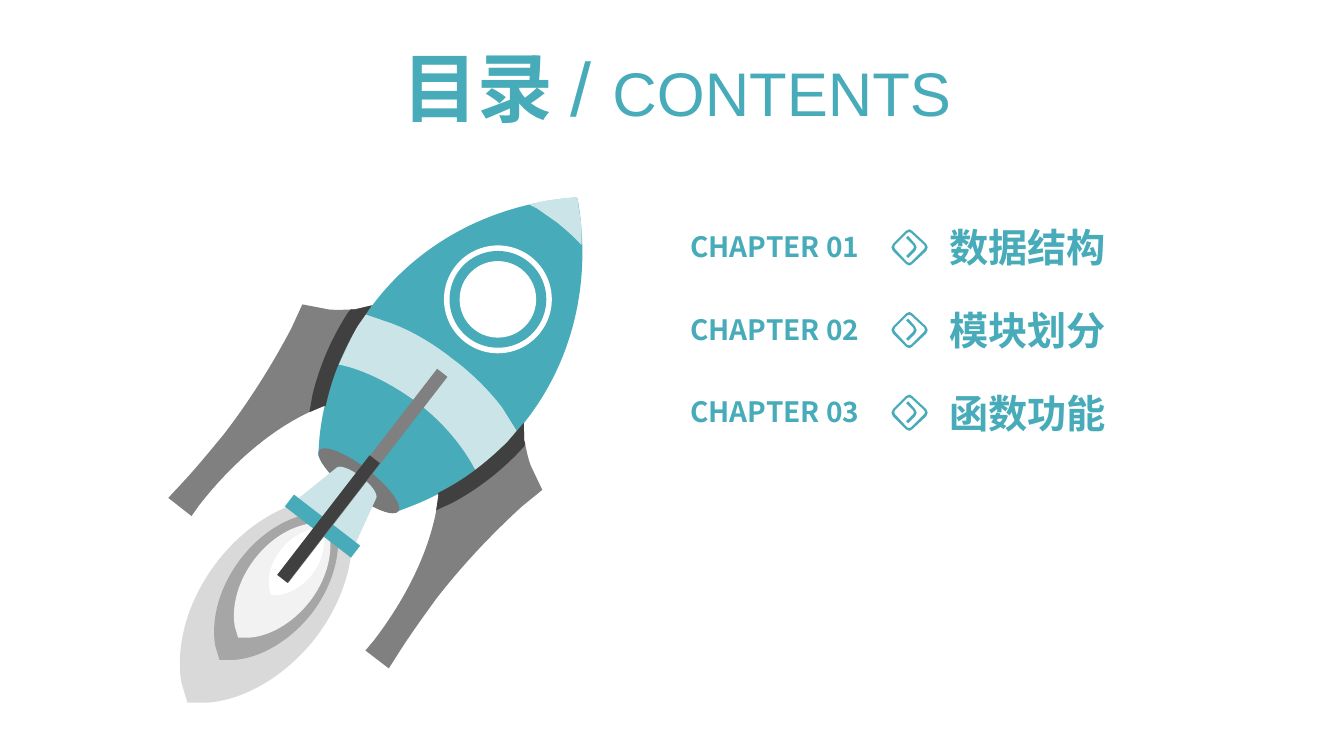
import math
import lxml.etree
import pptx
import pptx.util
import pptx.dml.color
import pptx.enum.shapes
import pptx.enum.text
import pptx.oxml.ns

Cm = pptx.util.Cm
Pt = pptx.util.Pt
RGBColor = pptx.dml.color.RGBColor
KIND = pptx.enum.shapes.MSO_SHAPE
FIT = pptx.enum.text.MSO_AUTO_SIZE
qn = pptx.oxml.ns.qn
TEAL = RGBColor(0x47, 0xAB, 0xB9)
PALE = RGBColor(0xCB, 0xE4, 0xE8)
WHITE = RGBColor(0xFF, 0xFF, 0xFF)
MIST = RGBColor(0xF2, 0xF2, 0xF2)
SMOKE = RGBColor(0xD9, 0xD9, 0xD9)
ASH = RGBColor(0xA6, 0xA6, 0xA6)
GRAY = RGBColor(0x80, 0x80, 0x80)
STEEL = RGBColor(0x79, 0x79, 0x79)
DARK = RGBColor(0x40, 0x40, 0x40)
FONT = "Noto Sans CJK SC"
INCH = 2.54
TILT = 37.7


def paint(shape, color):
    shape.shadow.inherit = False
    shape.fill.solid()
    shape.fill.fore_color.rgb = color
    shape.line.fill.background()


def draw(group, loops, color, move=lambda x, y: (x, y)):
    pen = None
    count, bends = 0, []
    for loop in loops:
        dots = []
        for step in loop:
            if len(step) == 6:
                bends.append(count + len(dots) - 1)
            dots += zip(step[::2], step[1::2])
        count += len(dots) - 1
        dots = [tuple(Cm(v * INCH) for v in move(*dot)) for dot in dots]
        if pen is None:
            pen = group.shapes.build_freeform(*dots[0])
        else:
            pen.move_to(*dots[0])
        pen.add_line_segments(dots[1:], close=True)
    shape = pen.convert_to_shape()
    sides = list(shape.element.iter(qn("a:lnTo")))
    for bend in bends:
        curve = lxml.etree.Element(qn("a:cubicBezTo"))
        sides[bend].addprevious(curve)
        for side in sides[bend:bend + 3]:
            curve.append(side[0])
            side.getparent().remove(side)
    paint(shape, color)


deck = pptx.Presentation()
deck.slide_width = Cm(33.87)
deck.slide_height = Cm(19.05)
slide = deck.slides.add_slide(deck.slide_layouts[5])

title = slide.shapes.title
title.left, title.top, title.width, title.height = Cm(8.38), Cm(0.91), Cm(17.35), Cm(2.57)
title.text_frame.auto_size = FIT.NONE
title.text_frame.vertical_anchor = pptx.enum.text.MSO_ANCHOR.TOP
line = title.text_frame.paragraphs[0]
line.alignment = pptx.enum.text.PP_ALIGN.CENTER
line.font.name = "Arial"
line.font.color.rgb = TEAL
for words, size, bold in (("目录 ", 54, True), ("/ ", 54, False), ("CONTENTS", 44, False)):
    run = line.add_run()
    run.text = words
    run.font.size = Pt(size)
    run.font.bold = bold

ARROW = [[(9.01, 2.34), (9.08, 2.42), (9.1, 2.44, 9.1, 2.47, 9.08, 2.49), (9.01, 2.56),
          (8.99, 2.54), (9.06, 2.47), (9.07, 2.46, 9.07, 2.44, 9.06, 2.43), (8.99, 2.36)]]
FRAME = [
    [(9.04, 2.31), (9.03, 2.3, 9.01, 2.3, 9, 2.31), (8.88, 2.43),
     (8.87, 2.44, 8.87, 2.46, 8.88, 2.47), (9, 2.6), (9.01, 2.61, 9.03, 2.61, 9.04, 2.6),
     (9.17, 2.47), (9.18, 2.46, 9.18, 2.44, 9.17, 2.43)],
    [(9.05, 2.29), (9.19, 2.42), (9.21, 2.44, 9.21, 2.47, 9.19, 2.49), (9.05, 2.62),
     (9.04, 2.64, 9.01, 2.64, 8.99, 2.62), (8.86, 2.49), (8.84, 2.47, 8.84, 2.44, 8.86, 2.42),
     (8.99, 2.29), (9.01, 2.27, 9.04, 2.27, 9.05, 2.29)]]

for row, topic in enumerate(("数据结构", "模块划分", "函数功能")):
    drop = row * 0.82
    cells = ((f"CHAPTER 0{row + 1}", 17.15, 5.66, 5.03, 1.12, 20, False),
             (topic, 23.67, 5.51, 5.87, 1.45, 28, True))
    for words, left, top, width, height, size, wrap in cells:
        box = slide.shapes.add_textbox(Cm(left), Cm(top + drop * INCH), Cm(width), Cm(height))
        box.text_frame.word_wrap = wrap
        line = box.text_frame.paragraphs[0]
        line.text = words
        line.font.name = FONT
        line.font.size = Pt(size)
        line.font.bold = True
        line.font.color.rgb = TEAL
    mark = slide.shapes.add_group_shape()
    for loops in (ARROW, FRAME):
        draw(mark, loops, TEAL, lambda x, y: (x, y + drop))

HULL = [(5.72, 1.96), (5.73, 1.97), (5.87, 2.74, 5.71, 3.54, 5.22, 4.17),
        (4.91, 4.57, 4.51, 4.86, 4.06, 5.03), (3.93, 5.08), (3.89, 5.09),
        (3.8, 5.08, 3.64, 5, 3.47, 4.87), (3.31, 4.75, 3.19, 4.61, 3.16, 4.52), (3.16, 4.48),
        (3.17, 4.34), (3.22, 3.86, 3.4, 3.4, 3.71, 3.01), (4.2, 2.37, 4.93, 2.02, 5.71, 1.96)]
FLAME = [(0.78, -1.02), (0.84, -0.82), (0.9, -0.45, 0.78, -0.01, 0.49, 0.37),
         (0.19, 0.75, -0.21, 0.98, -0.57, 1.01), (-0.78, 1.01), (-0.84, 0.81),
         (-0.9, 0.44, -0.78, 0, -0.49, -0.38), (-0.2, -0.76, 0.2, -0.99, 0.57, -1.02)]
BAND = [(4.49, 3.56), (4.68, 3.7, 4.85, 3.87, 4.98, 4.04), (5.13, 4.28), (5.1, 4.32),
        (5.06, 4.36, 5.02, 4.41, 4.97, 4.45), (4.72, 4.67), (4.71, 4.65),
        (4.6, 4.44, 4.41, 4.2, 4.15, 4), (3.88, 3.8, 3.61, 3.67, 3.38, 3.62), (3.36, 3.62),
        (3.5, 3.32), (3.53, 3.26, 3.56, 3.21, 3.6, 3.16), (3.63, 3.12), (3.89, 3.21),
        (4.1, 3.29, 4.3, 3.41, 4.49, 3.56)]
NOSE = [(5.72, 1.96), (5.73, 1.97), (5.74, 2.06, 5.76, 2.16, 5.77, 2.26), (5.77, 2.43),
        (5.71, 2.37), (5.65, 2.31, 5.59, 2.26, 5.53, 2.21), (5.46, 2.16, 5.4, 2.12, 5.33, 2.07),
        (5.25, 2.03), (5.42, 1.99), (5.52, 1.98, 5.61, 1.96, 5.71, 1.96)]
CONE = [(3.58, 4.73), (3.69, 4.81, 3.76, 4.91, 3.73, 4.95), (3.51, 5.43), (2.93, 4.97),
        (3.34, 4.64), (3.37, 4.61, 3.48, 4.65, 3.58, 4.73)]
FIN = [(3.69, 3.03), (3.55, 3.23), (3.41, 3.47, 3.3, 3.72, 3.24, 3.99), (3.23, 4.03),
       (3.21, 4.03), (2.8, 4.18, 2.35, 4.53, 1.97, 5.02), (1.9, 5.12), (1.67, 4.94), (1.8, 4.8),
       (1.94, 4.65, 2.08, 4.48, 2.22, 4.31), (2.49, 3.96, 2.71, 3.6, 2.89, 3.26), (3, 3.02),
       (3.26, 3.07), (3.35, 3.08, 3.44, 3.07, 3.52, 3.07)]
SHADE = FIN[:5] + [(3.07, 4.09), (3.1, 3.92), (3.17, 3.63, 3.29, 3.35, 3.46, 3.09),
                   (3.48, 3.07), (3.52, 3.07)]

rocket = slide.shapes.add_group_shape()
draw(rocket, [HULL], TEAL)
for midx, midy, zoom, color in ((2.64, 5.96, 1, SMOKE), (2.74, 5.82, 0.72, ASH),
                                (2.8, 5.76, 0.56, MIST), (2.94, 5.58, 0.32, WHITE)):
    draw(rocket, [FLAME], color, lambda x, y: (midx + zoom * x, midy + zoom * y))

HUBX, HUBY = 4.94, 2.97
PARTS = (
    (KIND.OVAL, 3.56, 4.77, 0.99, 0.28, STEEL),
    (BAND, PALE), (NOSE, PALE),
    (KIND.OVAL, HUBX, HUBY, 1.07, 1.07, WHITE),
    (KIND.OVAL, HUBX, HUBY, 0.96, 0.96, TEAL),
    (KIND.OVAL, HUBX, HUBY, 0.76, 0.76, WHITE),
    (CONE, PALE),
    (KIND.RECTANGLE, 3.2, 5.22, 0.83, 0.15, TEAL),
    (KIND.RECTANGLE, 3.6, 4.72, 0.13, 2.58, GRAY),
    (KIND.RECTANGLE, 3.26, 5.15, 0.13, 1.5, DARK))
for kind, *size, color in PARTS:
    if not size:
        draw(rocket, [kind], color)
        continue
    midx, midy, width, height = (v * INCH for v in size)
    part = rocket.shapes.add_shape(kind, Cm(midx - width / 2), Cm(midy - height / 2),
                                   Cm(width), Cm(height))
    part.rotation = TILT
    paint(part, color)

spin = math.radians(2 * TILT)
cos, sin = math.cos(spin), math.sin(spin)
for loop, color in ((FIN, GRAY), (SHADE, DARK)):
    draw(rocket, [loop], color)
    draw(rocket, [loop], color, lambda x, y: (
        HUBX - cos * (x - HUBX) - sin * (y - HUBY),
        HUBY - sin * (x - HUBX) + cos * (y - HUBY)))

deck.save("out.pptx")
